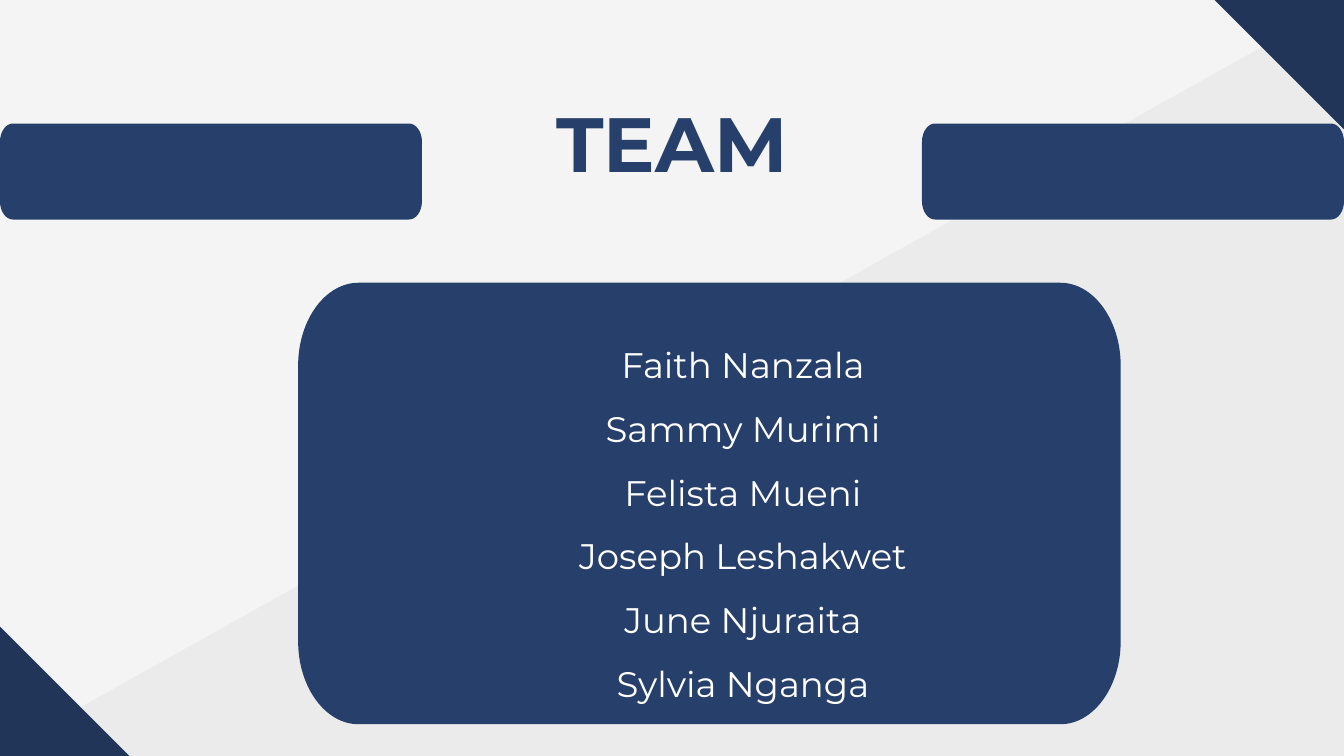
import lxml.etree
import pptx
import pptx.dml.color
import pptx.enum.shapes
import pptx.enum.text
import pptx.oxml.ns
import pptx.util

Cm, Pt, qn = pptx.util.Cm, pptx.util.Pt, pptx.oxml.ns.qn
NAVY, DARK, WHITE = "263F6B", "213559", "FFFFFF"


def paint(fill, color):
    fill.solid()
    fill.fore_color.rgb = pptx.dml.color.RGBColor.from_string(color)


def add_panel(x, y, w, h, rx, ry):
    right, bottom, bend = x + w, y + h, 0.55
    corners = [((x + rx, bottom), (x, bottom), (x, bottom - ry)),
               ((x, y + ry), (x, y), (x + rx, y)),
               ((right - rx, y), (right, y), (right, y + ry)),
               ((right, bottom - ry), (right, bottom), (right - rx, bottom))]
    points = []
    for a, corner, b in corners:
        controls = [tuple(m + bend * (n - m) for m, n in zip(end, corner)) for end in (a, b)]
        points += [a, *controls, b]
    points = [(Cm(px), Cm(py)) for px, py in points]
    builder = s.shapes.build_freeform(*points[-1])
    builder.add_line_segments(points, close=True)
    sp = builder.convert_to_shape()
    lines = list(sp._element.iter(qn("a:lnTo")))
    for i in range(0, len(lines), 4):
        curve = lxml.etree.Element(qn("a:cubicBezTo"))
        lines[i].addnext(curve)
        for line in lines[i + 1:i + 4]:
            curve.append(line[0])
            line.getparent().remove(line)
    sp.shadow.inherit = False
    sp.line.fill.background()
    paint(sp.fill, NAVY)
    return sp


prs = pptx.Presentation()
prs.slide_width, prs.slide_height = Cm(50.8), Cm(28.58)
s = prs.slides.add_slide(prs.slide_layouts[6])
paint(s.background.fill, "F4F4F4")

bands = [
    (-3.1, 12.09, 71.63, 26.62, 330.8, "545454"),
    (-7.35, 25.12, 14.7, 6.91, 45, DARK),
    (43.45, -3.45, 14.7, 6.91, 45, DARK),
]
for x, y, w, h, angle, color in bands:
    sp = s.shapes.add_shape(pptx.enum.shapes.MSO_SHAPE.RECTANGLE, Cm(x), Cm(y), Cm(w), Cm(h))
    sp.rotation = angle
    sp.shadow.inherit = False
    sp.line.fill.background()
    paint(sp.fill, color)
    if color != DARK:
        rgb = sp.fill._xPr.find(".//" + qn("a:srgbClr"))
        lxml.etree.SubElement(rgb, qn("a:alpha"), val="5000")

card = add_panel(11.27, 10.69, 31.09, 16.69, 2.28, 3.13)
for x in (0, 34.85):
    add_panel(x, 4.67, 15.95, 3.63, 0.49, 0.69)

names = ["Faith Nanzala", "Sammy Murimi", "Felista Mueni",
         "Joseph Leshakwet", "June Njuraita", "Sylvia Nganga"]
title = s.shapes.add_textbox(Cm(17.17), Cm(3.78), Cm(16.48), Cm(3.45))
texts = [
    (card, names, 38, WHITE, False, 1.5, (2.79, 1.47, 0.25, 0.25)),
    (title, ["TEAM"], 82.4, NAVY, True, 0.98, (0, 0, 0, 0)),
]
for sp, lines, size, color, bold, spacing, margins in texts:
    tf = sp.text_frame
    tf.text = "\n".join(lines)
    tf.word_wrap = True
    tf.vertical_anchor = pptx.enum.text.MSO_ANCHOR.TOP
    tf.margin_left, tf.margin_top, tf.margin_right, tf.margin_bottom = map(Cm, margins)
    for p in tf.paragraphs:
        p.alignment = pptx.enum.text.PP_ALIGN.CENTER
        p.line_spacing = spacing
        r = p.runs[0]
        r.font.name = "Montserrat"
        r.font.size = Pt(size)
        r.font.bold = bold
        paint(r.font.fill, color)

prs.save("out.pptx")
